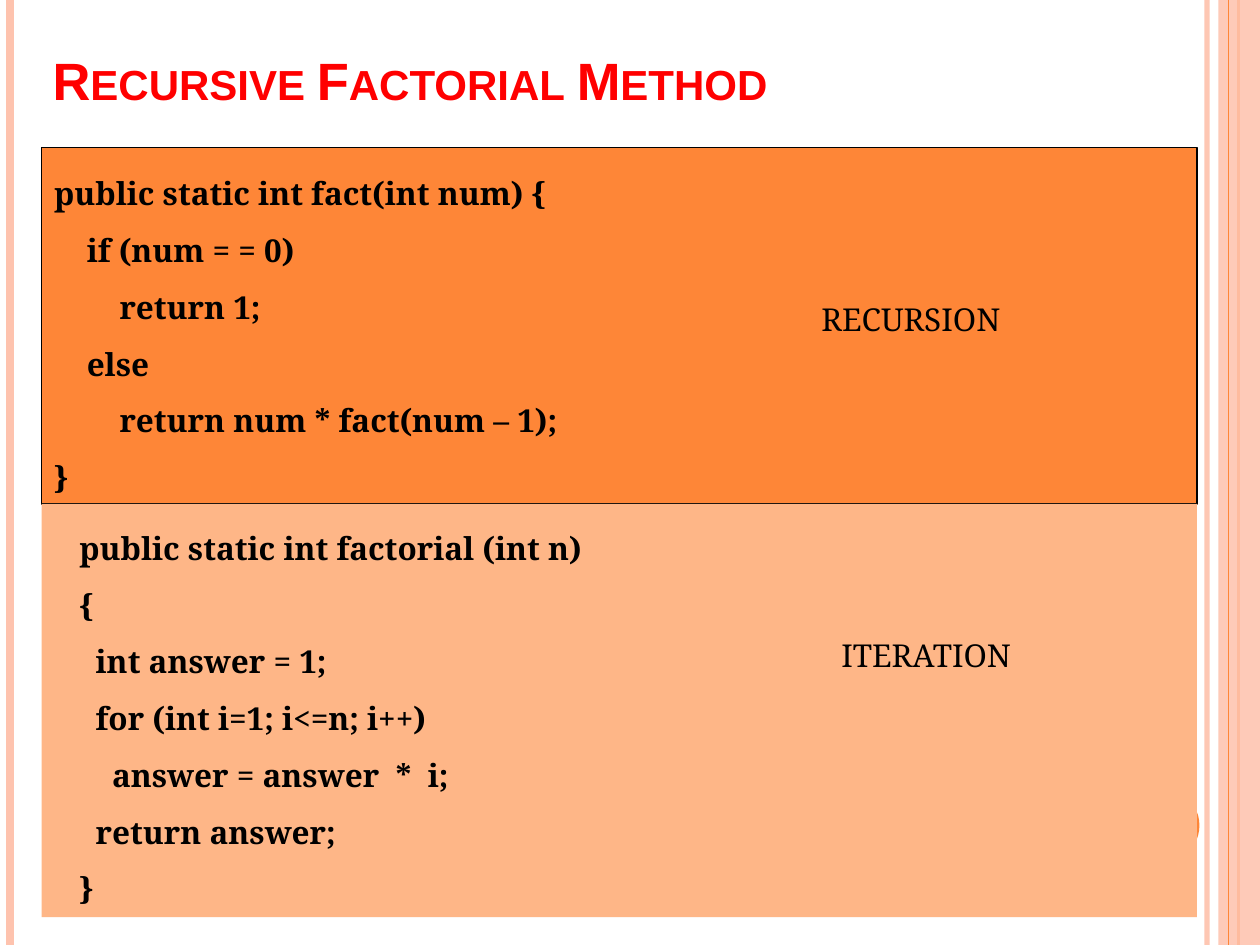
from dataclasses import dataclass

from lxml import etree
from pptx import Presentation
from pptx.dml.color import RGBColor
from pptx.enum.shapes import MSO_CONNECTOR, MSO_SHAPE
from pptx.enum.text import MSO_ANCHOR, PP_ALIGN
from pptx.oxml.ns import qn
from pptx.util import Cm, Pt

RECTANGLE, ELLIPSE = MSO_SHAPE.RECTANGLE, MSO_SHAPE.OVAL
STRAIGHT = MSO_CONNECTOR.STRAIGHT
TOP, MIDDLE, BOTTOM = MSO_ANCHOR.TOP, MSO_ANCHOR.MIDDLE, MSO_ANCHOR.BOTTOM
LEFT = PP_ALIGN.LEFT

ORANGE = RGBColor(0xFE, 0x86, 0x37)
LIGHT_ORANGE = RGBColor(0xFE, 0xB6, 0x87)
PINK = RGBColor(0xFE, 0xC3, 0xAE)
RED = RGBColor(0xFF, 0x00, 0x00)
BLACK = RGBColor(0x00, 0x00, 0x00)

SERIF, SANS = "Noto Serif", "Arial"
SLIDE_WIDTH, SLIDE_HEIGHT = 25.4, 19.05
CODE_LEFT, CODE_WIDTH = 0.84, 23.29
INDENT_STEP = 0.33


@dataclass
class Stripe:
    x: float
    color: RGBColor
    width: float
    opacity: int = 100


@dataclass
class CodePanel:
    top: float
    height: float
    fill: RGBColor
    outlined: bool
    anchor: MSO_ANCHOR
    margin: float
    lines: list[tuple[int, str]]  # indent steps, code


@dataclass
class Label:
    text: str
    left: float
    top: float
    width: float
    height: float
    font: str = SERIF
    size: int = 18
    color: RGBColor = BLACK
    bold: bool = False
    small_caps: bool = False
    anchor: MSO_ANCHOR = TOP
    wrap: bool = False


STRIPES = [
    Stripe(24.33, PINK, 3, 93),
    Stripe(0.2, PINK, 4.5),
    Stripe(24.97, ORANGE, 1.5),
    Stripe(24.77, ORANGE, 0.75),
]

PANELS = [
    CodePanel(2.97, 7.19, ORANGE, True, MIDDLE, 0, [
        (0, "public static int fact(int num) {"),
        (2, "if (num = = 0)"),
        (4, "return 1;"),
        (2, "else"),
        (4, "return num * fact(num – 1);"),
        (0, "}"),
    ]),
    CodePanel(10.16, 8.33, LIGHT_ORANGE, False, TOP, 0.51, [
        (0, "public static int factorial (int n)"),
        (0, "{"),
        (1, "int answer = 1;"),
        (1, "for (int i=1; i<=n; i++)"),
        (2, "answer = answer  *  i;"),
        (1, "return answer;"),
        (0, "}"),
    ]),
]

LABELS = [
    Label("Recursive Factorial Method", 0.81, 0.25, 23.29, 2.11, SANS, 30, RED,
          bold=True, small_caps=True, anchor=BOTTOM, wrap=True),
    Label("RECURSION", 16.31, 5.92, 4.57, 1.02),
    Label("ITERATION", 16.71, 12.7, 4.29, 1.02),
]

presentation = Presentation()
presentation.slide_width, presentation.slide_height = Cm(SLIDE_WIDTH), Cm(SLIDE_HEIGHT)
slide = presentation.slides.add_slide(presentation.slide_layouts[6])


def set_opacity(element, percent: int) -> None:
    color = next(element.iter(qn("a:srgbClr")))
    etree.SubElement(color, qn("a:alpha")).set("val", str(percent * 1000))


def add_stripe(stripe: Stripe) -> None:
    line = slide.shapes.add_connector(
        STRAIGHT, Cm(stripe.x), 0, Cm(stripe.x), Cm(SLIDE_HEIGHT))
    line.line.color.rgb = stripe.color
    line.line.width = Pt(stripe.width)
    properties = line._element.spPr
    if stripe.opacity < 100:
        set_opacity(properties, stripe.opacity)
    etree.SubElement(properties, qn("a:effectLst"))


def add_block(kind: MSO_SHAPE, left: float, top: float, width: float,
              height: float, fill: RGBColor):
    block = slide.shapes.add_shape(kind, Cm(left), Cm(top), Cm(width), Cm(height))
    block.shadow.inherit = False
    block.fill.solid()
    block.fill.fore_color.rgb = fill
    block.line.fill.background()
    return block


def style_font(font, name: str, size: int, color: RGBColor, bold: bool) -> None:
    font.name, font.size, font.bold = name, Pt(size), bold
    font.color.rgb = color


def add_panel(panel: CodePanel) -> None:
    block = add_block(RECTANGLE, CODE_LEFT, panel.top, CODE_WIDTH, panel.height, panel.fill)
    if panel.outlined:
        block.line.color.rgb = BLACK
        block.line.width = Pt(0.75)
    frame = block.text_frame
    frame.word_wrap = True
    frame.vertical_anchor = panel.anchor
    for number, (steps, code) in enumerate(panel.lines):
        paragraph = frame.add_paragraph() if number else frame.paragraphs[0]
        paragraph.text = code
        paragraph.alignment = LEFT
        paragraph.line_spacing = 1.5
        style_font(paragraph.font, SERIF, 18, BLACK, True)
        indent = Cm(panel.margin + steps * INDENT_STEP)
        paragraph._p.get_or_add_pPr().set("marL", str(int(indent)))


def add_label(label: Label) -> None:
    box = slide.shapes.add_textbox(
        Cm(label.left), Cm(label.top), Cm(label.width), Cm(label.height))
    frame = box.text_frame
    frame.word_wrap = label.wrap
    frame.vertical_anchor = label.anchor
    paragraph = frame.paragraphs[0]
    paragraph.text = label.text
    style_font(paragraph.font, label.font, label.size, label.color, label.bold)
    if label.small_caps:
        paragraph.runs[0]._r.get_or_add_rPr().set("cap", "small")


# Side decoration: the band lies over the first three stripes
for stripe in STRIPES[:3]:
    add_stripe(stripe)
band = add_block(RECTANGLE, 24.56, 0, 0.84, SLIDE_HEIGHT, PINK)
set_opacity(band._element.spPr, 87)
add_stripe(STRIPES[3])
add_block(ELLIPSE, 22.66, 15.88, 1.52, 1.52, ORANGE)

# Code panels
for panel in PANELS:
    add_panel(panel)

# Title and panel labels
for label in LABELS:
    add_label(label)

presentation.save("out.pptx")
